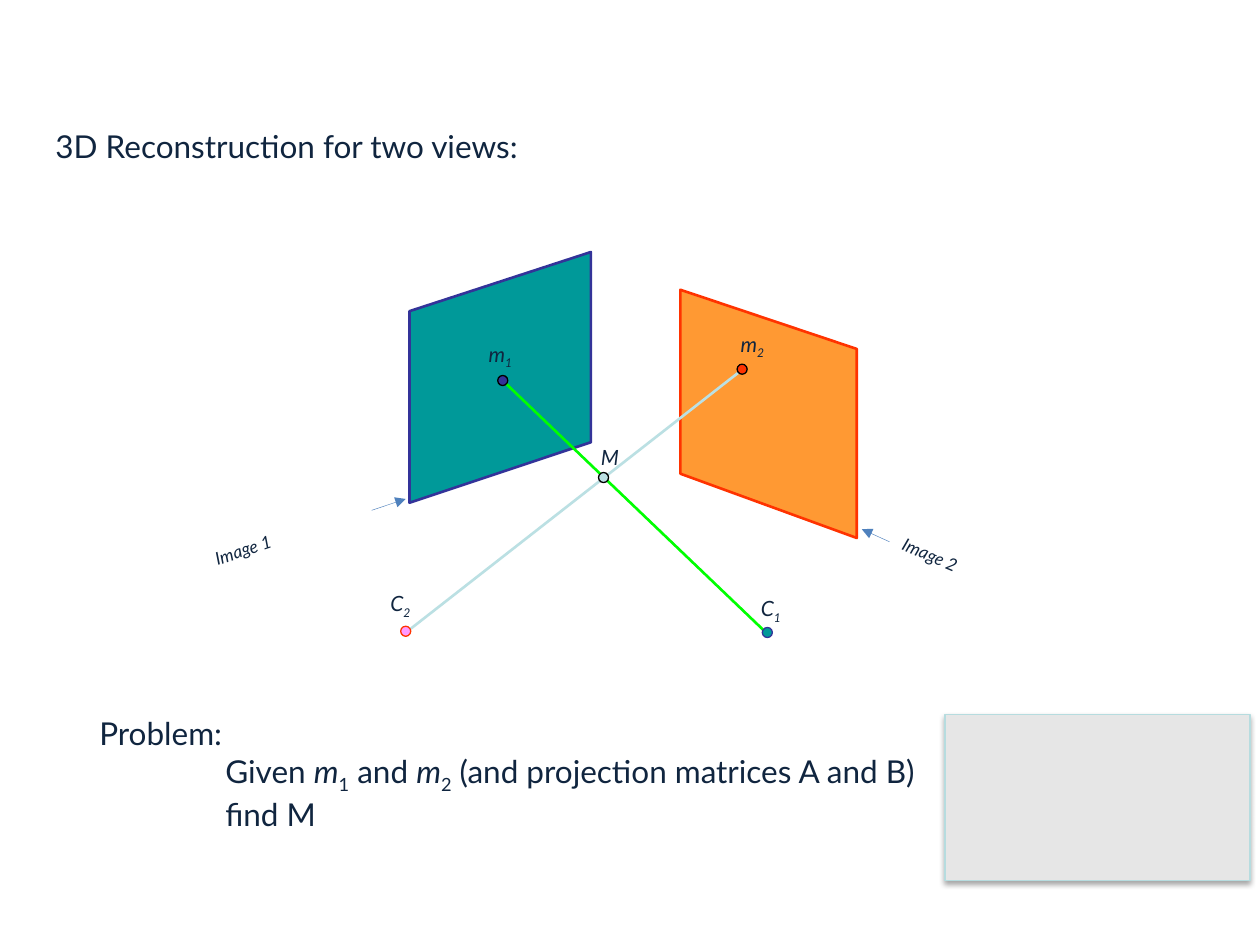
from dataclasses import dataclass

import pptx
import pptx.dml.color
import pptx.enum.shapes
import pptx.enum.text
import pptx.oxml
import pptx.oxml.ns
import pptx.util
from pptx.dml.color import RGBColor
from pptx.util import Inches

FONT = "Lato"
NAVY = RGBColor(0x10, 0x25, 0x3F)
BLACK = RGBColor(0, 0, 0)
TEAL = RGBColor(0x00, 0x99, 0x99)
INDIGO = RGBColor(0x33, 0x33, 0x99)
ORANGE = RGBColor(0xFF, 0x99, 0x33)
RED = RGBColor(0xFF, 0x33, 0x00)
PINK = RGBColor(0xFF, 0x99, 0xFF)
GREEN = RGBColor(0x00, 0xFF, 0x00)
PALE_BLUE = RGBColor(0xBB, 0xE0, 0xE3)
ARROW_BLUE = RGBColor(0x4F, 0x81, 0xBD)
GREY = RGBColor(0xE6, 0xE6, 0xE6)
PANEL_EDGE = RGBColor(0xB6, 0xDC, 0xDF)
DOT_SIZE = 0.08

Point = tuple[float, float]


@dataclass
class Span:
    text: str
    italic: bool = False
    subscript: bool = False


@dataclass
class Plane:
    corners: list[Point]
    fill: RGBColor
    edge: RGBColor


@dataclass
class Line:
    start: Point
    end: Point
    color: RGBColor
    width: float = 1.5
    arrow: bool = False


@dataclass
class Dot:
    center: Point
    fill: RGBColor
    edge: RGBColor


@dataclass
class Label:
    spans: list[Span]
    left: float
    top: float
    width: float
    height: float = 0.3
    size: int = 12
    rotation: float = 0


def paint(shape, fill: RGBColor, edge: RGBColor, width: float) -> None:
    shape.shadow.inherit = False
    shape.fill.solid()
    shape.fill.fore_color.rgb = fill
    shape.line.color.rgb = edge
    shape.line.width = pptx.util.Pt(width)


def draw_plane(page, plane: Plane) -> None:
    points = [(Inches(x), Inches(y)) for x, y in plane.corners]
    builder = page.shapes.build_freeform(*points[0])
    builder.add_line_segments(points[1:], close=True)
    paint(builder.convert_to_shape(), plane.fill, plane.edge, 1.5)


def draw_line(page, line: Line) -> None:
    connector = page.shapes.add_connector(
        pptx.enum.shapes.MSO_CONNECTOR.STRAIGHT,
        *(Inches(value) for value in line.start + line.end))
    connector.line.color.rgb = line.color
    connector.line.width = pptx.util.Pt(line.width)
    properties = connector._element.spPr
    if line.arrow:
        tail = pptx.oxml.parse_xml(
            f'<a:tailEnd {pptx.oxml.ns.nsdecls("a")} type="triangle"/>')
        connector.line._get_or_add_ln().append(tail)
    properties.append(pptx.oxml.parse_xml(
        f'<a:effectLst {pptx.oxml.ns.nsdecls("a")}/>'))


def draw_dot(page, dot: Dot) -> None:
    x, y = dot.center
    circle = page.shapes.add_shape(
        pptx.enum.shapes.MSO_SHAPE.OVAL, Inches(x - DOT_SIZE / 2),
        Inches(y - DOT_SIZE / 2), Inches(DOT_SIZE), Inches(DOT_SIZE))
    paint(circle, dot.fill, dot.edge, 0.75)


def write(paragraph, spans: list[Span], size: int) -> None:
    paragraph.font.name = FONT
    paragraph.font.size = pptx.util.Pt(size)
    paragraph.font.color.rgb = NAVY
    paragraph.alignment = pptx.enum.text.PP_ALIGN.LEFT
    for span in spans:
        run = paragraph.add_run()
        run.text = span.text
        if span.italic:
            run.font.italic = True
        if span.subscript:
            run._r.get_or_add_rPr().set("baseline", "-25000")


def draw_label(page, label: Label) -> None:
    box = page.shapes.add_textbox(Inches(label.left), Inches(label.top),
                                  Inches(label.width), Inches(label.height))
    box.rotation = label.rotation
    box.text_frame.word_wrap = label.rotation == 0
    write(box.text_frame.paragraphs[0], label.spans, label.size)


def symbol(letter: str, index: str = "") -> list[Span]:
    spans = [Span(letter, italic=True)]
    return spans + [Span(index, italic=True, subscript=True)] if index else spans


def draw_title(page) -> None:
    title = page.shapes.title
    title.left, title.top = Inches(0.34), Inches(0.96)
    title.width, title.height = Inches(3.94), Inches(0.4)
    frame = title.text_frame
    frame.word_wrap = False
    frame.auto_size = pptx.enum.text.MSO_AUTO_SIZE.NONE
    frame.vertical_anchor = pptx.enum.text.MSO_ANCHOR.TOP
    write(frame.paragraphs[0], [Span("3D Reconstruction for two views:")], 18)


def draw_problem(page) -> None:
    box = page.shapes.add_textbox(Inches(0.69), Inches(5.62), Inches(6.97), Inches(1.31))
    frame = box.text_frame
    frame.word_wrap = True
    write(frame.paragraphs[0], [Span("Problem:")], 18)
    given = [Span("Given "), Span("m", italic=True), Span("1", subscript=True),
             Span(" and "), Span("m", italic=True), Span("2", subscript=True),
             Span(" (and projection matrices A and B)")]
    for spans in (given, [Span("find M")]):
        paragraph = frame.add_paragraph()
        write(paragraph, spans, 18)
        paragraph._p.get_or_add_pPr().set("marL", str(Inches(1)))


def draw_panel(page) -> None:
    panel = page.shapes.add_shape(pptx.enum.shapes.MSO_SHAPE.RECTANGLE, Inches(7.5),
                                  Inches(5.67), Inches(2.42), Inches(1.32))
    paint(panel, GREY, PANEL_EDGE, 0.75)
    effects = panel._element.spPr.find(pptx.oxml.ns.qn("a:effectLst"))
    effects.append(pptx.oxml.parse_xml(
        f'<a:outerShdw {pptx.oxml.ns.nsdecls("a")} blurRad="{pptx.util.Pt(3.1)}" '
        f'dist="{pptx.util.Pt(1.8)}" dir="5400000" rotWithShape="0">'
        '<a:srgbClr val="000000"><a:alpha val="35000"/></a:srgbClr></a:outerShdw>'))


def main() -> None:
    deck = pptx.Presentation()
    deck.slide_width, deck.slide_height = Inches(10), Inches(7.5)
    page = deck.slides.add_slide(deck.slide_layouts.get_by_name("Title Only"))
    draw_title(page)

    # Image planes, each crossed by the ray from its camera
    draw_plane(page, Plane([(5.4, 2.3), (6.8, 2.77), (6.8, 4.27), (5.4, 3.76)], ORANGE, RED))
    draw_line(page, Line((3.26, 4.99), (5.87, 2.95), PALE_BLUE))
    draw_plane(page, Plane([(3.25, 2.47), (4.69, 2), (4.69, 3.51), (3.25, 3.99)], TEAL, INDIGO))
    draw_line(page, Line((4, 3.03), (6.09, 5.03), GREEN))

    # Camera centres, image points and the scene point
    for dot in (Dot((6.09, 5.02), TEAL, INDIGO), Dot((3.22, 5.01), PINK, RED),
                Dot((5.89, 2.93), RED, BLACK), Dot((3.99, 3.02), INDIGO, BLACK),
                Dot((4.79, 3.79), PALE_BLUE, BLACK)):
        draw_dot(page, dot)

    # Labels
    for label in (Label(symbol("Image 1"), 1.6, 4.22, 0.72, 0.27, 10, 341.8),
                  Label(symbol("Image 2"), 7.05, 4.28, 0.72, 0.27, 10, 23.1),
                  Label(symbol("m", "1"), 3.78, 2.66, 0.56),
                  Label(symbol("m", "2"), 5.78, 2.58, 0.68),
                  Label(symbol("M"), 4.67, 3.48, 0.38),
                  Label(symbol("C", "2"), 3, 4.64, 0.38),
                  Label(symbol("C", "1"), 5.94, 4.68, 0.38)):
        draw_label(page, label)

    # Arrows to the image planes
    draw_line(page, Line((7.06, 4.3), (6.84, 4.2), ARROW_BLUE, 0.25, True))
    draw_line(page, Line((2.95, 4.05), (3.22, 3.96), ARROW_BLUE, 0.25, True))

    draw_problem(page)
    draw_panel(page)
    deck.save("out.pptx")


if __name__ == "__main__":
    main()
